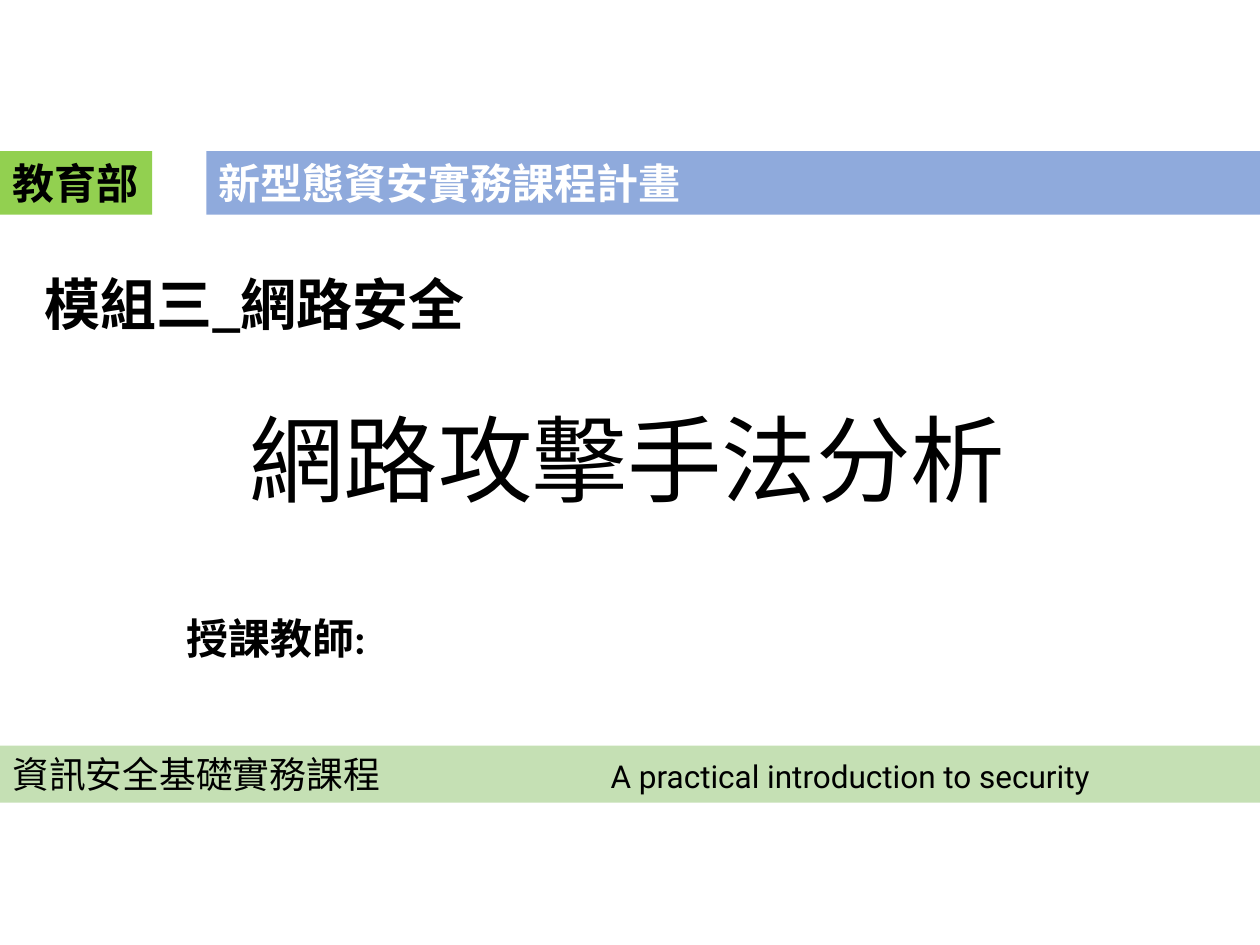
"""Build the title slide of a network security course."""
from lxml import etree
from pptx import Presentation
from pptx.dml.color import RGBColor
from pptx.enum.shapes import MSO_SHAPE
from pptx.enum.text import MSO_ANCHOR, MSO_AUTO_SIZE, PP_ALIGN
from pptx.oxml.ns import qn
from pptx.util import Cm, Pt

RECT = MSO_SHAPE.RECTANGLE
TOP, BOTTOM = MSO_ANCHOR.TOP, MSO_ANCHOR.BOTTOM
LEFT, CENTER = PP_ALIGN.LEFT, PP_ALIGN.CENTER
FIT, FIXED = MSO_AUTO_SIZE.SHAPE_TO_FIT_TEXT, MSO_AUTO_SIZE.NONE

WIDE, HIGH = 25.4, 19.05
HEAD_TOP, HEAD_HIGH = 3.05, 1.28
PLAN_LEFT = 4.16
TAB = 12.06

THEME = {
    "font": "Calibri", "cjk": "Noto Sans CJK SC", "latin": "Roboto",
    "ink": "000000", "white": "FFFFFF",
    "plan": "8FAADC", "office": "92D050", "foot": "C5E0B4",
    "title": 54, "module": 32, "label": 24, "course": 21, "motto": 18,
}

PLAN = "新型態資安實務課程計畫"
OFFICE = "教育部"
TITLE = "網路攻擊手法分析"
TEACHER = "授課教師:"
MODULE = "模組三_網路安全"
COURSE = "資訊安全基礎實務課程"
MOTTO = "A practical introduction to security"


def style(font, size, face="font", color="ink", bold=False):
    font.name = THEME[face]
    font.size = Pt(THEME[size])
    font.color.rgb = RGBColor.from_string(THEME[color])
    font.bold = bold


def write(shape, text, size, align=LEFT, anchor=TOP, fit=FIT, wrap=True, **look):
    frame = shape.text_frame
    frame.word_wrap = wrap
    frame.auto_size = fit
    frame.vertical_anchor = anchor
    par = frame.paragraphs[0]
    par.text = text
    par.alignment = align
    par.space_before = Pt(0)
    style(par.font, size, **look)
    return par


def band(slide, box, fill):
    shape = slide.shapes.add_shape(RECT, *map(Cm, box))
    shape.shadow.inherit = False
    shape.fill.solid()
    shape.fill.fore_color.rgb = RGBColor.from_string(THEME[fill])
    shape.line.fill.background()
    return shape


def place(shape, box):
    shape.left, shape.top, shape.width, shape.height = map(Cm, box)
    return shape


def footer(slide):
    shape = band(slide, (0, 15.03, WIDE, 1.15), "foot")
    par = write(shape, "", "course", face="cjk")
    tabs = etree.SubElement(par._p.get_or_add_pPr(), qn("a:tabLst"))
    etree.SubElement(tabs, qn("a:tab"), pos=str(Cm(TAB)), algn="l")
    for text, size, face in ((COURSE + "\t", "course", "cjk"), (MOTTO, "motto", "latin")):
        run = par.add_run()
        run.text = text
        style(run.font, size, face)
    props = par._p.pPr
    props.append(props.find(qn("a:defRPr")))


def main():
    deck = Presentation()
    deck.slide_width, deck.slide_height = Cm(WIDE), Cm(HIGH)
    slide = deck.slides.add_slide(deck.slide_layouts[0])

    plan = band(slide, (PLAN_LEFT, HEAD_TOP, WIDE - PLAN_LEFT, HEAD_HIGH), "plan")
    write(plan, PLAN, "label", color="white", bold=True)
    office = band(slide, (0, HEAD_TOP, 3.07, HEAD_HIGH), "office")
    write(office, OFFICE, "label", wrap=False, bold=True)

    title = place(slide.shapes.title, (4.67, 7.9, 15.95, 2.62))
    par = write(title, TITLE, "title", align=CENTER, anchor=BOTTOM, fit=FIXED)
    par.line_spacing = 0.9
    teacher = place(slide.placeholders[1], (3.5, 12.34, 19.05, 2.39))
    par = write(teacher, TEACHER, "label", fit=FIXED, bold=True)
    par.line_spacing = 0.9

    footer(slide)
    module = slide.shapes.add_textbox(*map(Cm, (0.64, 5.31, 9.07, 1.63)))
    write(module, MODULE, "module", bold=True)
    deck.save("out.pptx")


if __name__ == "__main__":
    main()
